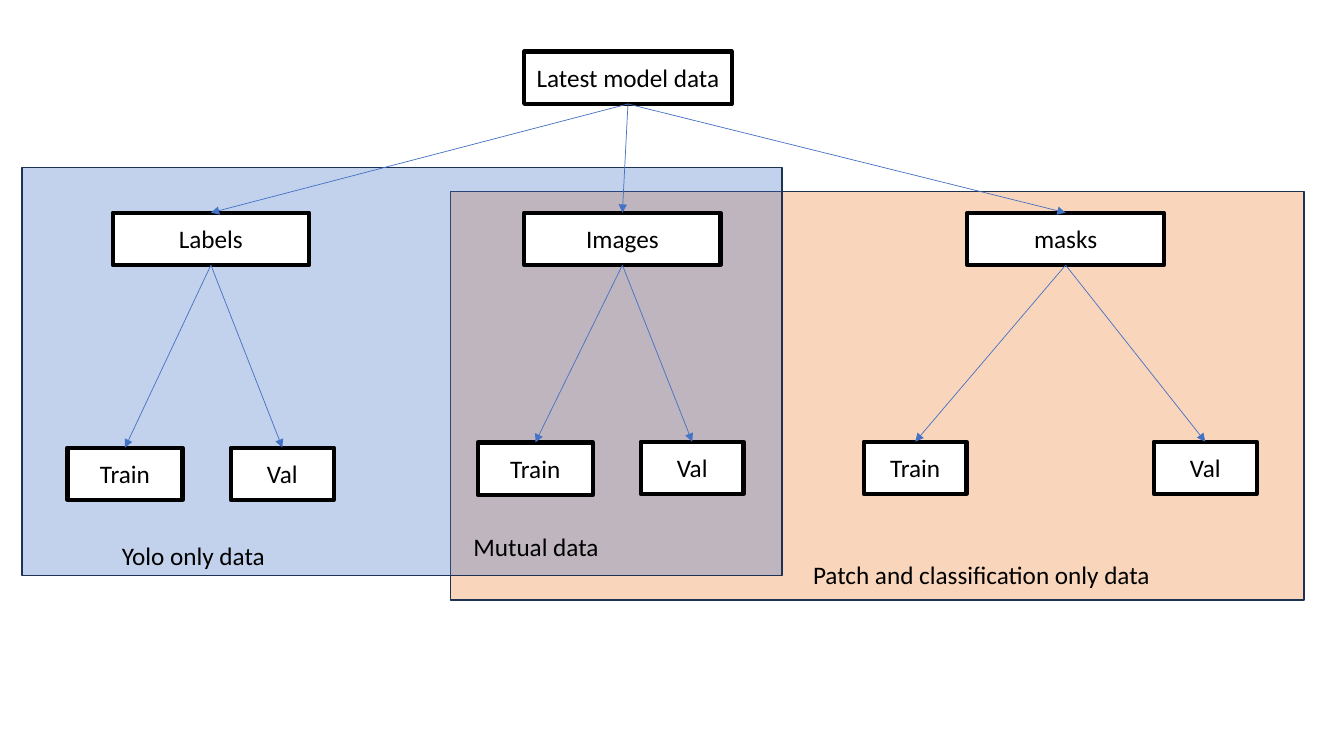
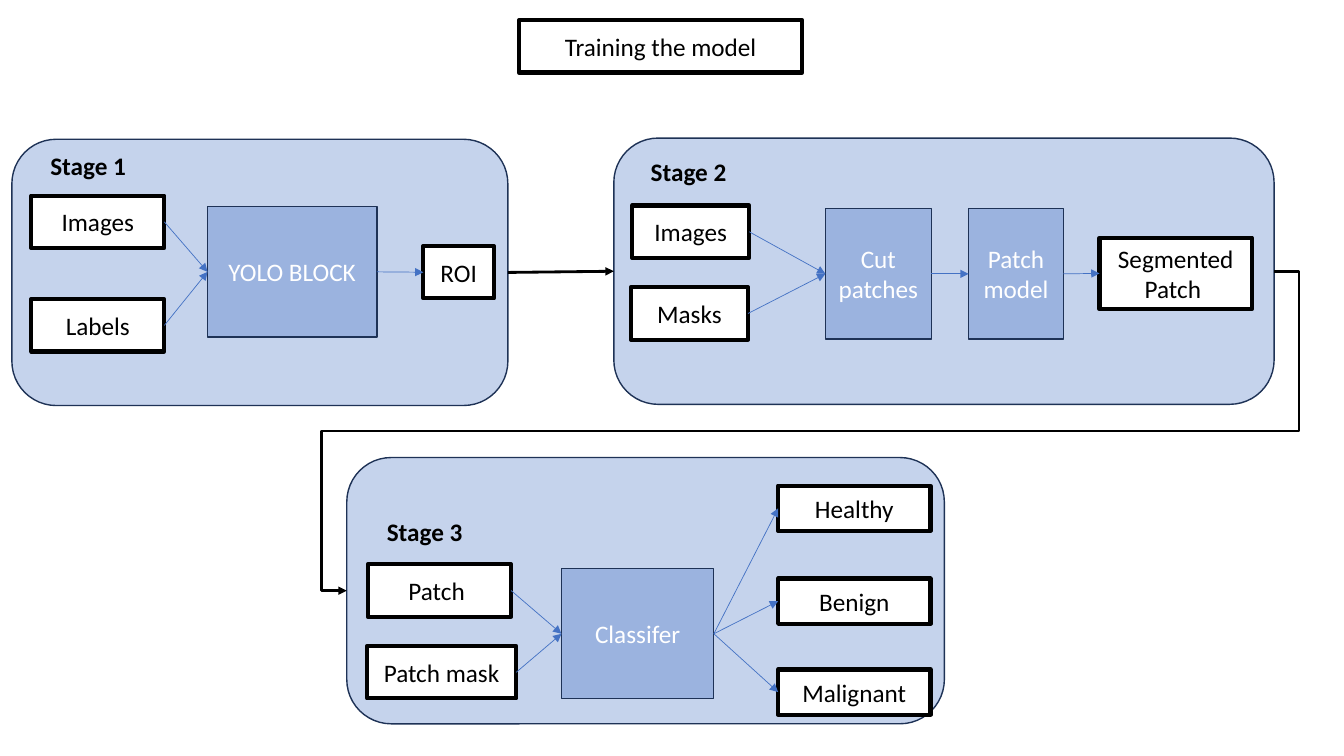
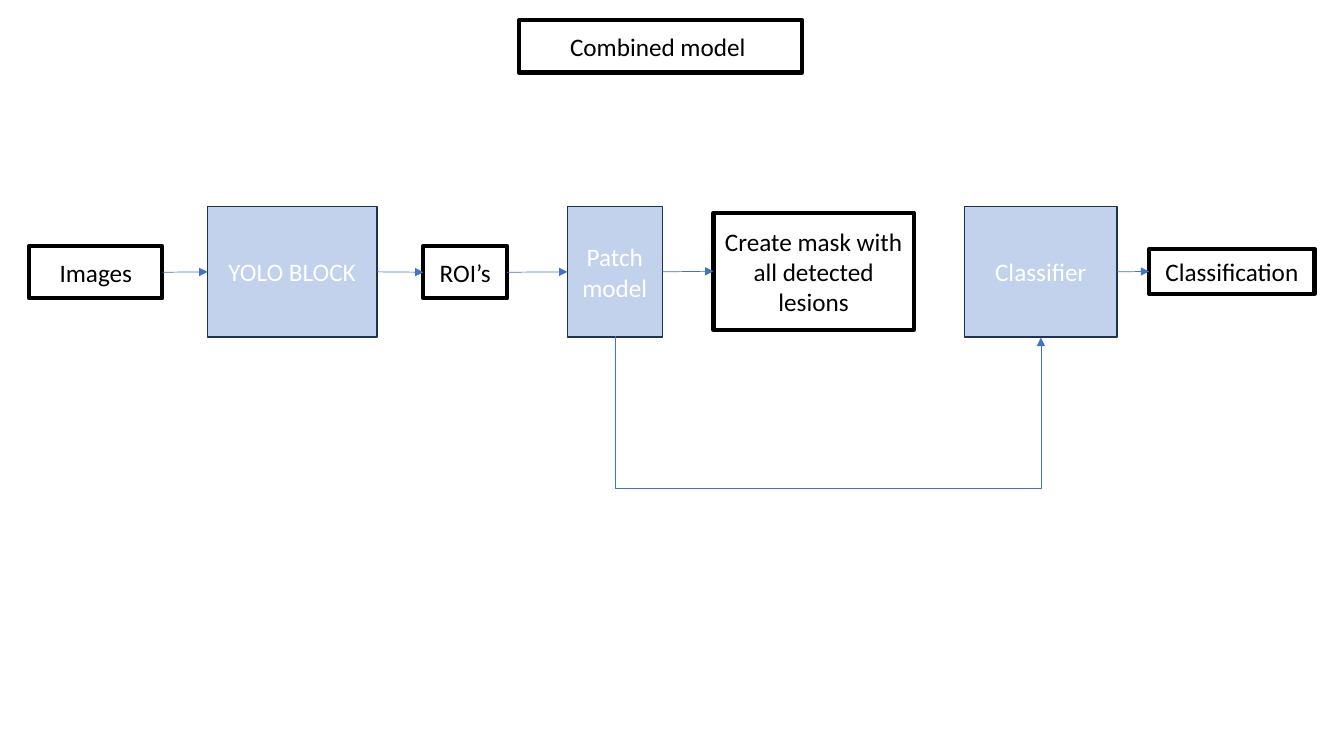
import pptx
import pptx.util
import pptx.dml.color
import pptx.enum.shapes
import pptx.enum.text
import pptx.oxml.ns
import pptx.oxml.xmlchemy

Cm = pptx.util.Cm
Pt = pptx.util.Pt
SHAPE = pptx.enum.shapes.MSO_SHAPE
CONNECTOR = pptx.enum.shapes.MSO_CONNECTOR

FONT = "Calibri"
BLUE, ORANGE, NAVY = "4472C4", "ED7D31", "1E3256"
BLACK, WHITE = "000000", "FFFFFF"
TOP, LEFT, BOTTOM, RIGHT = range(4)
BOX_HEIGHT, BLOCK_HEIGHT, PANEL_HEIGHT, OUTCOME_HEIGHT = 1.32, 3.28, 6.71, 1.14
TITLE_PLACE = (13.08, 0.51, 7.14, BOX_HEIGHT)

STYLES = {
    "box": dict(shape=SHAPE.RECTANGLE, fill=WHITE, opacity=100, line=BLACK, weight=3, font=BLACK),
    "block": dict(shape=SHAPE.RECTANGLE, fill=BLUE, opacity=32, line=NAVY, weight=1, font=WHITE),
    "blue area": dict(shape=SHAPE.RECTANGLE, fill=BLUE, opacity=32, line=NAVY, weight=1),
    "orange area": dict(shape=SHAPE.RECTANGLE, fill=ORANGE, opacity=32, line=NAVY, weight=1),
    "stage": dict(shape=SHAPE.ROUNDED_RECTANGLE, fill=BLUE, opacity=31, line=NAVY, weight=1),
}

DATA_AREAS = [
    ("orange area", "patch data", "", 11.35, 4.83, 21.51, 10.29),
    ("blue area", "yolo data", "", 0.56, 4.22, 19.15, 10.29),
]
DATA_ROOT = ("box", "root", "Latest model data", 13.21, 1.30, 5.23, BOX_HEIGHT)
DATA_BRANCHES = [
    ("Labels", 2.84, [("Train", 1.70, 11.28, 2.90), ("Val", 5.82, 11.28, 2.59)]),
    ("Images", 13.21, [("Train", 12.04, 11.15, 2.90), ("Val", 16.15, 11.13, 2.59)]),
    ("masks", 24.38, [("Train", 21.77, 11.13, 2.59), ("Val", 29.08, 11.13, 2.59)]),
]
BRANCH_TOP, BRANCH_WIDTH = 5.36, 4.95
DATA_CAPTIONS = [
    ("Patch and classification only data ", 20.24, 13.97),
    ("Yolo only data", 2.82, 13.49),
    ("Mutual data", 11.68, 13.26),
]

TRAINING_PARTS = [
    ("stage", "stage 2", "", 15.47, 3.48, 16.64, PANEL_HEIGHT),
    ("stage", "stage 1", "", 0.30, 3.51, 12.50, PANEL_HEIGHT),
    ("stage", "stage 3", "", 8.74, 11.53, 15.06, PANEL_HEIGHT),
    ("box", "title", "Training the model", *TITLE_PLACE),
    ("box", "images 1", "Images", 0.79, 4.93, 3.35, BOX_HEIGHT),
    ("box", "labels", "Labels", 0.79, 7.54, 3.35, BOX_HEIGHT),
    ("block", "yolo", "YOLO BLOCK", 5.23, 5.21, 4.27, BLOCK_HEIGHT),
    ("box", "roi", "ROI", 10.67, 6.20, 1.78, BOX_HEIGHT),
    ("box", "images 2", "Images", 15.93, 5.18, 2.95, BOX_HEIGHT),
    ("box", "masks", "Masks", 15.90, 7.24, 2.95, BOX_HEIGHT),
    ("block", "cut", "Cut patches", 20.80, 5.26, 2.67, BLOCK_HEIGHT),
    ("block", "model", "Patch model", 24.41, 5.26, 2.39, BLOCK_HEIGHT),
    ("box", "segmented", "Segmented Patch ", 27.71, 5.99, 3.84, 1.80),
    ("box", "patch", "Patch ", 9.27, 14.22, 3.61, BOX_HEIGHT),
    ("box", "patch mask", "Patch mask", 9.25, 16.28, 3.76, BOX_HEIGHT),
    ("block", "classifier", "Classifer", 14.15, 14.33, 3.84, BLOCK_HEIGHT),
    ("box", "healthy", "Healthy", 19.61, 12.24, 3.84, OUTCOME_HEIGHT),
    ("box", "benign", "Benign", 19.61, 14.58, 3.84, OUTCOME_HEIGHT),
    ("box", "malignant", "Malignant", 19.61, 16.87, 3.84, OUTCOME_HEIGHT),
]
TRAINING_ARROWS = [
    ("images 1", "yolo"), ("labels", "yolo"), ("yolo", "roi"),
    ("images 2", "cut"), ("masks", "cut"), ("cut", "model"), ("model", "segmented"),
    ("patch", "classifier"), ("patch mask", "classifier"),
    ("classifier", "healthy"), ("classifier", "benign"), ("classifier", "malignant"),
]
STAGE_CAPTIONS = [("Stage 1", 1.02, 3.66), ("Stage 2", 16.15, 3.81), ("Stage 3", 9.50, 12.88)]

COMBINED_PARTS = [
    ("box", "title", "Combined model ", *TITLE_PLACE),
    ("box", "images", "Images", 0.74, 6.20, 3.35, BOX_HEIGHT),
    ("block", "yolo", "YOLO BLOCK", 5.23, 5.21, 4.27, BLOCK_HEIGHT),
    ("box", "rois", "ROI’s", 10.67, 6.20, 2.11, BOX_HEIGHT),
    ("block", "model", "Patch model", 14.30, 5.21, 2.39, BLOCK_HEIGHT),
    ("box", "mask", "Create mask with all detected lesions", 17.98, 5.36, 5.05, 2.95),
    ("block", "classifier", "Classifier", 24.31, 5.21, 3.84, BLOCK_HEIGHT),
    ("box", "classification", "Classification", 28.96, 6.27, 4.17, OUTCOME_HEIGHT),
]
COMBINED_ARROWS = [
    ("images", "yolo"), ("yolo", "rois"), ("rois", "model"),
    ("model", "mask"), ("classifier", "classification"),
]
LOOP_DEPTH, LOOP_THICKNESS = 3.84, 0.04


def color(value):
    return pptx.dml.color.RGBColor.from_string(value)


def find(parent, tag):
    return parent.find(".//" + pptx.oxml.ns.qn(tag))


def child(parent, tag, **attributes):
    element = pptx.oxml.xmlchemy.OxmlElement(tag)
    for name, value in attributes.items():
        element.set(name, str(value))
    parent.append(element)
    return element


def write(paragraph, text, font_color, bold=False):
    run = paragraph.add_run()
    run.text = text
    run.font.name = FONT
    run.font.size = Pt(18)
    run.font.bold = bold
    run.font.color.rgb = color(font_color)


def add_part(slide, kind, text, *place):
    style = STYLES[kind]
    shape = slide.shapes.add_shape(style["shape"], *map(Cm, place))
    shape.shadow.inherit = False
    shape.fill.solid()
    shape.fill.fore_color.rgb = color(style["fill"])
    if style["opacity"] < 100:
        child(find(shape.element.spPr, "a:srgbClr"), "a:alpha", val=style["opacity"] * 1000)
    shape.line.color.rgb = color(style["line"])
    shape.line.width = Pt(style["weight"])
    if text:
        frame = shape.text_frame
        frame.word_wrap = True
        frame.vertical_anchor = pptx.enum.text.MSO_ANCHOR.MIDDLE
        paragraph = frame.paragraphs[0]
        paragraph.alignment = pptx.enum.text.PP_ALIGN.CENTER
        write(paragraph, text, style["font"])
    return shape


def add_parts(slide, parts):
    return {name: add_part(slide, kind, text, *place) for kind, name, text, *place in parts}


def add_caption(slide, text, left, top, width, bold=False):
    frame = slide.shapes.add_textbox(Cm(left), Cm(top), Cm(width), Cm(1.02)).text_frame
    frame.word_wrap = True
    frame.auto_size = pptx.enum.text.MSO_AUTO_SIZE.SHAPE_TO_FIT_TEXT
    write(frame.paragraphs[0], text, BLACK, bold)


def style_arrow(connector, line_color, weight):
    connector.line.color.rgb = color(line_color)
    connector.line.width = Pt(weight)
    properties = connector.element.spPr
    child(find(properties, "a:ln"), "a:tailEnd", type="triangle")
    child(properties, "a:effectLst")


def add_arrow(slide, source, target, sides=(RIGHT, LEFT), line_color=BLUE, weight=0.5):
    connector = slide.shapes.add_connector(CONNECTOR.STRAIGHT, 0, 0, 0, 0)
    connector.begin_connect(source, sides[0])
    connector.end_connect(target, sides[1])
    style_arrow(connector, line_color, weight)


def add_bent_arrow(slide, begin, end, adjustments, line_color, weight, rotation=0):
    connector = slide.shapes.add_connector(CONNECTOR.ELBOW, *begin, *end)
    properties = connector.element.spPr
    find(properties, "a:xfrm").set("rot", str(rotation * 60000))
    geometry = find(properties, "a:prstGeom")
    geometry.set("prst", f"bentConnector{len(adjustments) + 2}")
    guides = find(geometry, "a:avLst")
    if guides is None:
        guides = child(geometry, "a:avLst")
    for number, share in enumerate(adjustments, 1):
        child(guides, "a:gd", name=f"adj{number}", fmla=f"val {round(share * 100000)}")
    style_arrow(connector, line_color, weight)


def build_data_slide(slide):
    add_parts(slide, DATA_AREAS)
    root = add_parts(slide, [DATA_ROOT])["root"]
    for text, left, leaves in DATA_BRANCHES:
        branch = add_part(slide, "box", text, left, BRANCH_TOP, BRANCH_WIDTH, BOX_HEIGHT)
        add_arrow(slide, root, branch, (BOTTOM, TOP))
        for leaf_text, *place in leaves:
            leaf = add_part(slide, "box", leaf_text, *place, BOX_HEIGHT)
            add_arrow(slide, branch, leaf, (BOTTOM, TOP))
    for caption in DATA_CAPTIONS:
        add_caption(slide, *caption, 10.64)


def build_training_slide(slide):
    parts = add_parts(slide, TRAINING_PARTS)
    for source, target in TRAINING_ARROWS:
        add_arrow(slide, parts[source], parts[target])
    for caption in STAGE_CAPTIONS:
        add_caption(slide, *caption, 2.44, bold=True)
    first, second, third = (parts[f"stage {number}"] for number in (1, 2, 3))
    add_arrow(slide, first, second, line_color=BLACK, weight=2)
    begin = (second.left + second.width, second.top + second.height // 2)
    end = (third.left, third.top + third.height // 2)
    add_bent_arrow(slide, begin, end, (-0.027, 0.5, 1.027), BLACK, 2)


def build_combined_slide(slide):
    parts = add_parts(slide, COMBINED_PARTS)
    for source, target in COMBINED_ARROWS:
        add_arrow(slide, parts[source], parts[target])
    model, classifier = parts["model"], parts["classifier"]
    start = model.left + model.width // 2
    finish = classifier.left + classifier.width // 2
    middle, half = (start + finish) // 2, (finish - start) // 2
    base = model.top + model.height
    offset = Cm(LOOP_THICKNESS / 2)
    add_bent_arrow(slide, (middle + offset, base - half), (middle - offset, base + half),
                   (LOOP_DEPTH / LOOP_THICKNESS,), BLUE, 0.5, rotation=270)


presentation = pptx.Presentation()
presentation.slide_width, presentation.slide_height = Cm(33.87), Cm(19.05)
for build in (build_data_slide, build_training_slide, build_combined_slide):
    build(presentation.slides.add_slide(presentation.slide_layouts[6]))
presentation.save("out.pptx")
